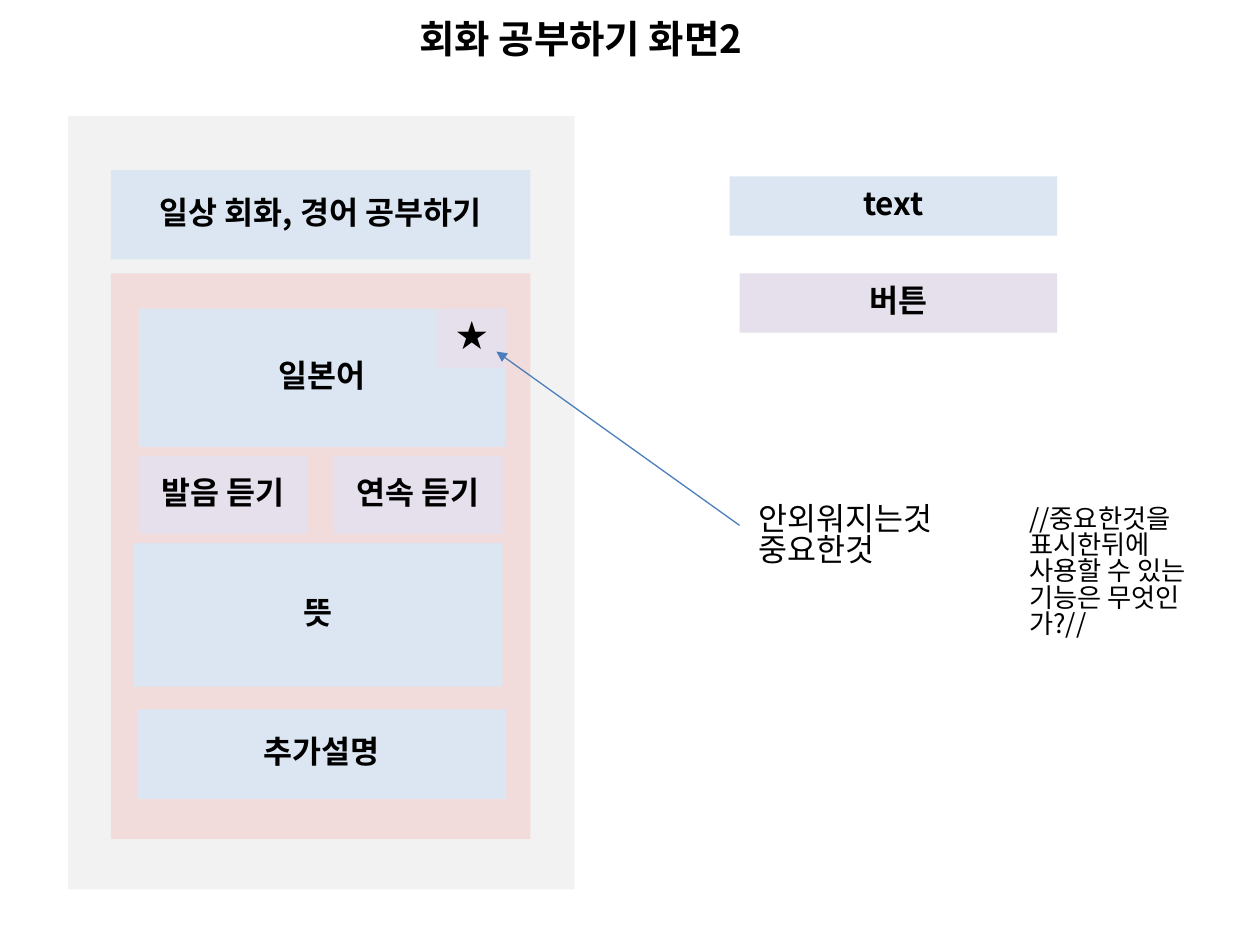
from lxml import etree
from pptx import Presentation
from pptx import util as u
from pptx.dml.color import RGBColor
from pptx.enum import shapes, text
from pptx.oxml import ns

FONT = "Noto Sans CJK KR"
COLORS = {
    "screen": "F2F2F2",
    "card": "F2DCDB",
    "text": "DCE6F2",
    "button": "E6E0EC",
    "arrow": "4B7EBC",
    "ink": "000000",
}


def write(box, content, size=18, bold=False, align=text.PP_ALIGN.LEFT,
          anchor=text.MSO_ANCHOR.TOP):
    frame = box.text_frame
    frame.word_wrap = True
    frame.vertical_anchor = anchor
    frame.text = content
    for para in frame.paragraphs:
        para.alignment = align
        para.line_spacing = 0.83
        for span in para.runs:
            span.font.size = u.Pt(size)
            span.font.bold = bold
            span.font.name = FONT
            span.font.color.rgb = RGBColor.from_string(COLORS["ink"])
            east_asian = etree.SubElement(span.font._element, ns.qn("a:ea"))
            east_asian.set("typeface", FONT)


deck = Presentation()
deck.slide_width = u.Inches(10)
deck.slide_height = u.Inches(7.5)
page = deck.slides.add_slide(deck.slide_layouts[6])

blocks = [
    ("screen", "", 0.54, 0.92, 4.02, 6.14),
    ("text", "일상 회화, 경어 공부하기", 0.88, 1.35, 3.33, 0.71),
    ("button", "버튼", 5.87, 2.17, 2.52, 0.47),
    ("text", "text", 5.79, 1.4, 2.6, 0.47),
    ("card", "", 0.88, 2.17, 3.33, 4.49),
    ("text", "일본어", 1.1, 2.45, 2.91, 1.1),
    ("text", "뜻", 1.06, 4.31, 2.93, 1.14),
    ("text", "추가설명", 1.09, 5.63, 2.93, 0.71),
    ("button", "발음 듣기", 1.1, 3.62, 1.34, 0.62),
    ("button", "연속 듣기", 2.65, 3.62, 1.34, 0.62),
    ("button", "★", 3.47, 2.45, 0.55, 0.47),
]
for kind, label, *place in blocks:
    box = page.shapes.add_shape(shapes.MSO_SHAPE.RECTANGLE, *map(u.Inches, place))
    box.shadow.inherit = False
    box.fill.solid()
    box.fill.fore_color.rgb = RGBColor.from_string(COLORS[kind])
    box.line.fill.background()
    if label:
        write(box, label, bold=True, align=text.PP_ALIGN.CENTER,
              anchor=text.MSO_ANCHOR.MIDDLE)

arrow = page.shapes.add_connector(
    shapes.MSO_CONNECTOR.STRAIGHT,
    u.Inches(5.87), u.Inches(4.17), u.Inches(3.94), u.Inches(2.79))
arrow.line.color.rgb = RGBColor.from_string(COLORS["arrow"])
arrow.line.width = u.Pt(0.75)
outline = arrow.line._get_or_add_ln()
etree.SubElement(outline, ns.qn("a:tailEnd")).set("type", "triangle")
etree.SubElement(arrow._element.spPr, ns.qn("a:effectLst"))

notes = [
    ("안외워지는것\n중요한것", 18, False, 5.92, 3.96, 3.39, 0.71),
    ("//중요한것을 표시한뒤에 사용할 수 있는 기능은 무엇인가?//", 15, False,
     8.07, 3.98, 1.76, 1.11),
    ("회화 공부하기 화면2", 22, True, 3.23, 0.13, 3.22, 0.47),
]
for content, size, bold, *place in notes:
    box = page.shapes.add_textbox(*map(u.Inches, place))
    write(box, content, size=size, bold=bold)
    box.text_frame.auto_size = text.MSO_AUTO_SIZE.SHAPE_TO_FIT_TEXT

deck.save("out.pptx")
